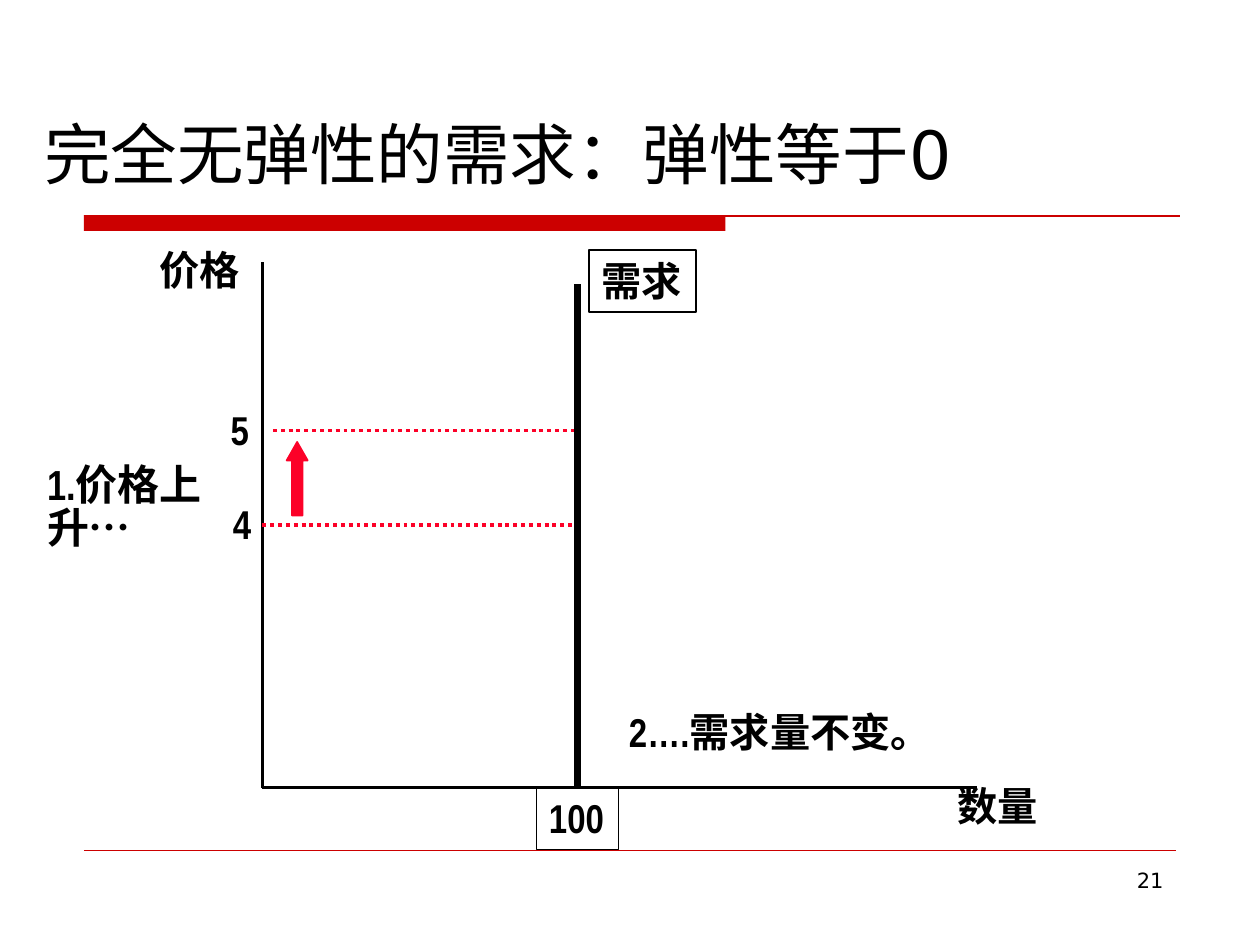
from pptx import Presentation
from pptx.dml.color import RGBColor
from pptx.enum.dml import MSO_LINE
from pptx.enum.shapes import MSO_CONNECTOR, MSO_SHAPE
from pptx.enum.text import MSO_ANCHOR, MSO_AUTO_SIZE, PP_ALIGN
from pptx.oxml.ns import qn
from pptx.util import Inches, Pt

# Grid of 120 columns by 90 rows on a 10 x 7.5 inch slide
UNIT = Inches(10) / 120
COLORS = {"ink": "000000", "band": "CC0000", "price": "FC0128"}
NARROW, SANS = "Arial Narrow", "DejaVu Sans"

# Places on the chart
LEFT, BASE, DEMAND = 25, 75, 55
OLD, NEW = 50, 41


def grid(*cells):
    return [round(c * UNIT) for c in cells]


def color(name):
    return RGBColor.from_string(COLORS[name])


def write(frame, lines, size, font, bold=False, align=PP_ALIGN.LEFT, space=None):
    for i, line in enumerate(lines):
        para = frame.paragraphs[0] if i == 0 else frame.add_paragraph()
        para.alignment = align
        if space:
            para.line_spacing = space
        run = para.add_run()
        run.text = line
        run.font.size = Pt(size)
        run.font.name = font
        run.font.bold = bold
        run.font.color.rgb = color("ink")


def label(slide, lines, cells, size=23, font=NARROW, bold=True, wrap=False, **style):
    box = slide.shapes.add_textbox(*grid(*cells))
    box.text_frame.word_wrap = wrap
    if not wrap:
        box.text_frame.auto_size = MSO_AUTO_SIZE.SHAPE_TO_FIT_TEXT
    write(box.text_frame, lines, size, font, bold, **style)
    return box


def frame_label(slide, text, cells):
    box = label(slide, [text], cells)
    box.line.color.rgb = color("ink")
    box.line.width = Pt(1)
    return box


def line(slide, start, end, width, hue="ink", dash=None):
    rule = slide.shapes.add_connector(MSO_CONNECTOR.STRAIGHT, *grid(*start, *end))
    rule.line.color.rgb = color(hue)
    rule.line.width = Pt(width)
    if dash:
        rule.line.dash_style = dash
    props = rule._element.spPr
    props.append(props.makeelement(qn("a:effectLst"), {}))
    return rule


def block(slide, kind, cells, hue):
    shape = slide.shapes.add_shape(kind, *grid(*cells))
    shape.shadow.inherit = False
    shape.fill.solid()
    shape.fill.fore_color.rgb = color(hue)
    shape.line.fill.background()
    return shape


def heading(slide, text):
    title = slide.shapes.title
    title.left, title.top, title.width, title.height = grid(3, 4.3, 114, 14.7)
    title.text_frame.vertical_anchor = MSO_ANCHOR.BOTTOM
    title.text_frame.word_wrap = True
    write(title.text_frame, [text], 38, SANS, space=1.4)


def main():
    deck = Presentation()
    deck.slide_width, deck.slide_height = grid(120, 90)
    slide = deck.slides.add_slide(deck.slide_layouts[5])

    # Band and rules of the page
    block(slide, MSO_SHAPE.RECTANGLE, (8, 20.5, 61.1, 1.5), "band")
    line(slide, (8, 20.55), (112.4, 20.55), 1, "band")
    line(slide, (8, 81), (112, 81), 0.25, "band")
    heading(slide, "完全无弹性的需求：弹性等于0")

    # Axes
    line(slide, (LEFT, 25), (LEFT, BASE), 2.25)
    line(slide, (LEFT, BASE), (93, BASE), 2.25)
    label(slide, ["数量"], (90, 73.8, 10.2, 5.9))
    label(slide, ["价格"], (14, 22.8, 10.2, 5.9))

    # Price levels
    for text, row, start, edge in (("4", OLD, LEFT, 25.1), ("5", NEW, LEFT + 1, 24.9)):
        label(slide, [text], (edge - 4.2, row - 3, 4.2, 5.9), align=PP_ALIGN.RIGHT)
        line(slide, (start, row), (DEMAND, row), 2.25, "price", MSO_LINE.ROUND_DOT)

    # Demand curve
    frame_label(slide, "需求", (56.1, 23.8, 10.2, 5.9))
    amount = frame_label(slide, "100", (DEMAND - 3.9, BASE, 7.8, 5.9))
    curve = line(slide, (DEMAND, BASE), (DEMAND, 27), 4.5)
    curve.begin_connect(amount, 0)

    # Steps of the story
    label(slide, ["2….需求量不变。"], (57.7, 66.8, 32.2, 5.9), align=PP_ALIGN.RIGHT)
    label(slide, ["1.价格上", "升…"], (3.3, 43.8, 18.2, 9.7), 24, wrap=True, space=0.85)
    arrow = block(slide, MSO_SHAPE.UP_ARROW, (27.3, 42.1, 2, 7), "price")
    arrow.adjustments[0], arrow.adjustments[1] = 0.5, 0.88
    arrow.line.color.rgb = color("price")
    arrow.line.width = Pt(1)

    # Page number
    label(slide, ["21"], (86, 82, 26, 6.2), 12, SANS, False, True, align=PP_ALIGN.RIGHT)

    deck.save("out.pptx")


if __name__ == "__main__":
    main()
